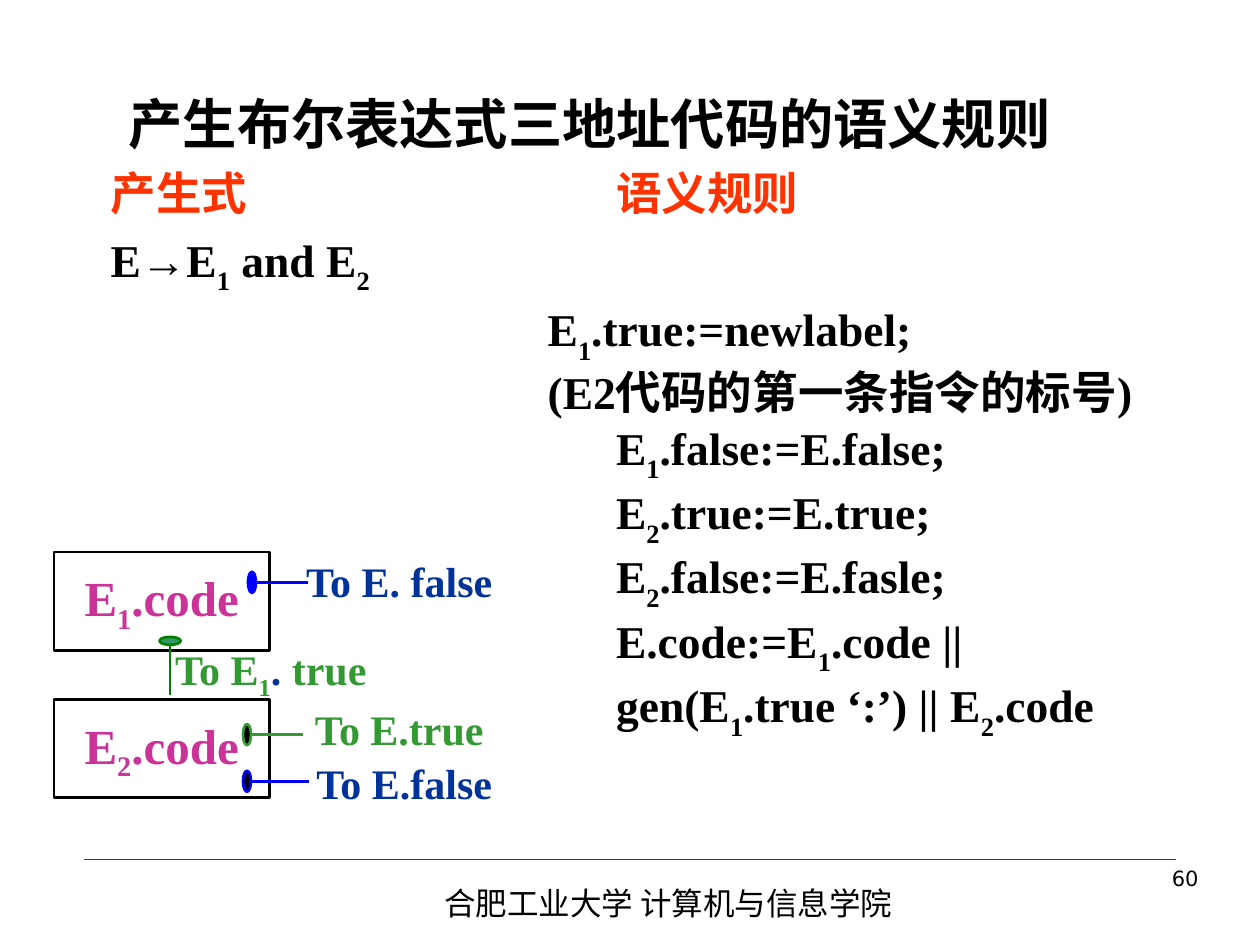
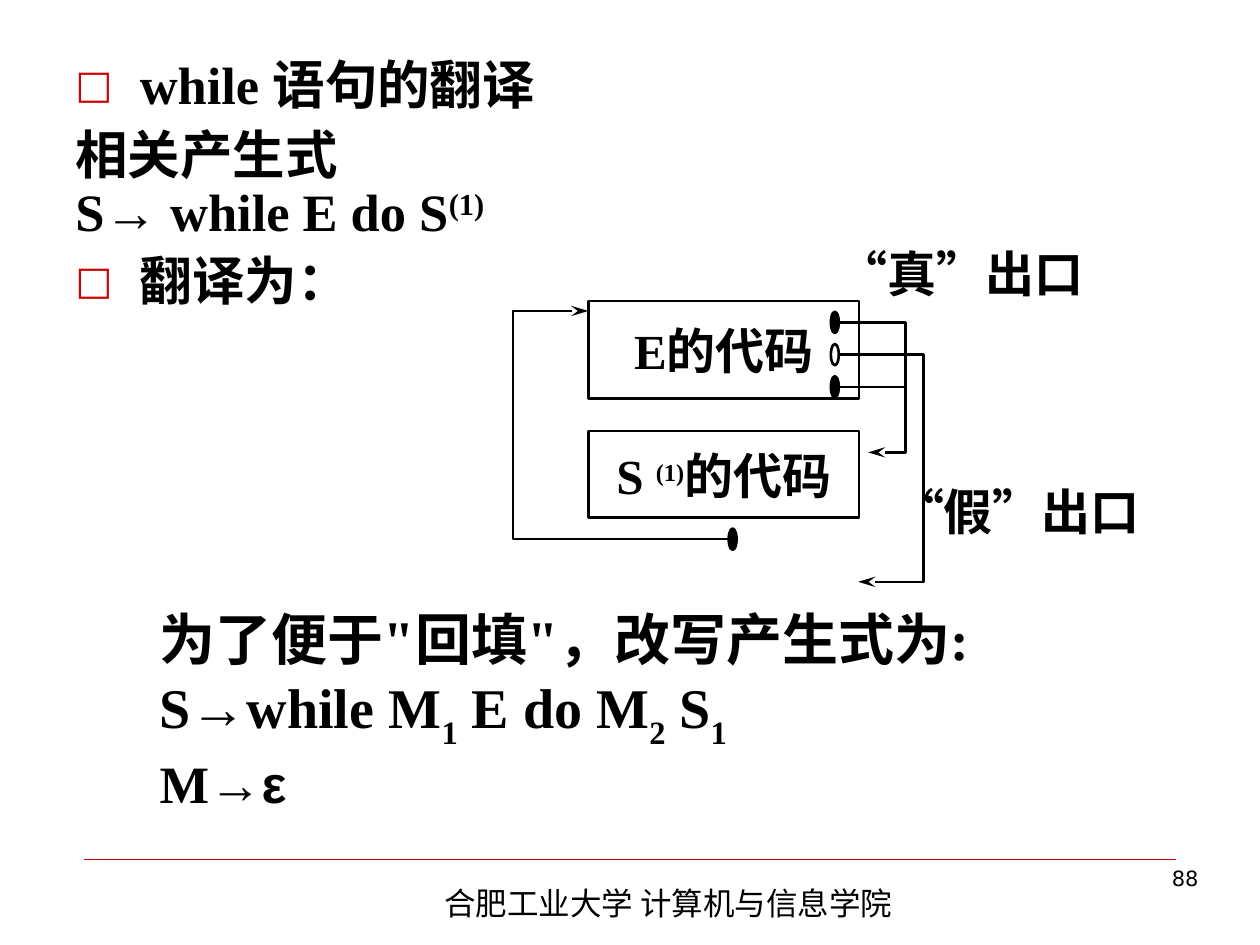
"""Build two compiler-course slides on translating boolean and while code."""
import pptx
import pptx.dml.color
import pptx.enum.shapes
import pptx.enum.text
import pptx.oxml.ns
import pptx.util
from lxml import etree

Cm, Pt = pptx.util.Cm, pptx.util.Pt
ALIGN = pptx.enum.text.PP_ALIGN
ANCHOR = pptx.enum.text.MSO_ANCHOR
SHAPE = pptx.enum.shapes.MSO_SHAPE
qn = pptx.oxml.ns.qn

COLORS = {"black": "000000", "rule": "CC0000", "heading": "FF3300", "code": "CC3399",
          "navy": "003399", "blue": "0000FF", "green": "339933", "dark_green": "008000",
          "sea": "339966"}
SERIF, SANS, CJK = "Times New Roman", "DejaVu Sans", "Noto Sans CJK SC"


def rgb(name):
    return pptx.dml.color.RGBColor.from_string(COLORS[name])


def write(p, text, size=28, color="black", font=SERIF, bold=True, shift=-30, shift_size=None):
    """Add text to a paragraph; parts between ~ marks are sub- or superscript."""
    for i, part in enumerate(text.split("~")):
        if not part:
            continue
        r = p.add_run()
        r.text = part
        f = r.font
        f.size = Pt(shift_size or size) if i % 2 else Pt(size)
        f.bold, f.name = bold, font
        f.color.rgb = rgb(color)
        rPr = f._element
        etree.SubElement(rPr, qn("a:ea")).set("typeface", CJK)
        if i % 2:
            rPr.set("baseline", str(shift * 1000))


class Deck:
    """Hold the shared style and the current slide."""

    def __init__(self):
        self.prs = pptx.Presentation()
        self.prs.slide_width, self.prs.slide_height = Cm(25.4), Cm(19.05)

    def start(self, number, title=None):
        self.slide = self.prs.slides.add_slide(self.prs.slide_layouts[5 if title else 6])
        self.shapes = self.slide.shapes
        if title:
            sp = self.shapes.title
            sp.left, sp.top, sp.width, sp.height = Cm(2.34), Cm(0.94), Cm(22.02), Cm(3.07)
            tf = sp.text_frame
            tf.vertical_anchor = ANCHOR.MIDDLE
            p = tf.paragraphs[0]
            p.alignment = ALIGN.LEFT
            write(p, title, size=31, font=SANS)
        self.line(1.7, 17.32, 23.7, 17.32, "rule", 0.25)
        write(self.box(8.71, 17.7, 12.8, 1.02).paragraphs[0],
              "合肥工业大学 计算机与信息学院", size=18, font=CJK, bold=False)
        p = self.box(18.9, 17.32, 5.51, 1.32).paragraphs[0]
        p.alignment = ALIGN.RIGHT
        write(p, str(number), size=12, font=SANS, bold=False)

    def box(self, x, y, w, h):
        tf = self.shapes.add_textbox(Cm(x), Cm(y), Cm(w), Cm(h)).text_frame
        tf.word_wrap = True
        return tf

    def paragraph(self, tf, indent=0.0, spacing=1.0, before=0.0, bullet=None):
        first = not tf.paragraphs[0].runs
        p = tf.paragraphs[0] if first else tf.add_paragraph()
        pPr = p._p.get_or_add_pPr()
        pPr.set("marL", str(Cm(indent)))
        pPr.set("indent", str(-Cm(indent) if bullet else 0))
        if bullet:
            clr = etree.SubElement(pPr, qn("a:buClr"))
            etree.SubElement(clr, qn("a:srgbClr")).set("val", COLORS["rule"])
            etree.SubElement(pPr, qn("a:buSzPct")).set("val", "75000")
            etree.SubElement(pPr, qn("a:buFont")).set("typeface", SANS)
            etree.SubElement(pPr, qn("a:buChar")).set("char", bullet)
        p.line_spacing = spacing
        p.space_before = Pt(0 if first else before)
        return p

    def centre(self, tf, wrap=False):
        tf.word_wrap = wrap
        tf.vertical_anchor = ANCHOR.MIDDLE
        p = tf.paragraphs[0]
        p.alignment = ALIGN.CENTER
        return p

    def label(self, cx, cy, text, w=5.6, h=1.54, **fmt):
        p = self.centre(self.box(cx - w / 2, cy - h / 2, w, h), wrap=True)
        write(p, text, **fmt)
        return p

    def outline(self, sp, color, fill=None):
        sp.shadow.inherit = False
        if fill:
            sp.fill.solid()
            sp.fill.fore_color.rgb = rgb(fill)
        else:
            sp.fill.background()
        sp.line.color.rgb = rgb(color)
        sp.line.width = Pt(1.5)

    def block(self, x, y, w, h, text, **fmt):
        sp = self.shapes.add_shape(SHAPE.RECTANGLE, Cm(x), Cm(y), Cm(w), Cm(h))
        self.outline(sp, "black")
        write(self.centre(sp.text_frame), text, **fmt)

    def dot(self, cx, cy, color="black", fill="black", w=0.16, h=0.43):
        sp = self.shapes.add_shape(SHAPE.OVAL, Cm(cx - w / 2), Cm(cy - h / 2), Cm(w), Cm(h))
        self.outline(sp, color, fill)

    def line(self, x1, y1, x2, y2, color="black", width=1.5):
        sp = self.shapes.add_connector(pptx.enum.shapes.MSO_CONNECTOR.STRAIGHT,
                                       Cm(x1), Cm(y1), Cm(x2), Cm(y2))
        sp.line.color.rgb = rgb(color)
        sp.line.width = Pt(width)
        etree.SubElement(sp._element.spPr, qn("a:effectLst"))

    def jump(self, *points):
        start, *rest = [(Cm(x), Cm(y)) for x, y in points]
        path = self.shapes.build_freeform(*start)
        path.add_line_segments(rest, close=False)
        sp = path.convert_to_shape()
        self.outline(sp, "black")
        tail = etree.SubElement(sp.line._get_or_add_ln(), qn("a:tailEnd"))
        tail.set("type", "stealth")
        tail.set("len", "lg")


def semantic_rules(deck):
    deck.start(60, "产生布尔表达式三地址代码的语义规则")
    left, top, column, note = 1.98, 3.33, 10.19, 8.81
    tight = {"spacing": 0.9, "before": 6.5}
    tf = deck.box(left, top, 23.4, 12.7)
    write(deck.paragraph(tf, **tight), "产生式", size=26, color="heading")
    write(deck.paragraph(deck.box(left + column, top, 6, 1.3), **tight), "语义规则",
          size=26, color="heading")
    for indent, text in ((0, "E→E~1~ and E~2~"), (note, "E~1~.true:=newlabel;"),
                         (note, "(E2代码的第一条指令的标号)")):
        write(deck.paragraph(tf, indent, **tight), text, size=26)
    for text in ("E~1~.false:=E.false;", "E~2~.true:=E.true;", "E~2~.false:=E.fasle;",
                 "E.code:=E~1~.code ||", "gen(E~1~.true ‘:’) || E~2~.code"):
        write(deck.paragraph(tf, column), text, size=26)

    for i, y in enumerate((11.13, 14.1), 1):
        deck.block(1.09, y, 4.34, 1.98, f"E~{i}~.code", color="code", shift=-25)
    for x, y, end, color, fill in ((5.08, 11.74, 6.2, "blue", "blue"),
                                   (4.98, 14.81, 6.1, "green", "black"),
                                   (4.98, 15.75, 6.22, "blue", "black")):
        deck.line(x + 0.08, y, end, y, color)
        deck.dot(x, y, color, fill)
    deck.line(3.43, 12.98, 3.43, 14.02, "dark_green")
    deck.dot(3.43, 12.92, "dark_green", "sea", w=0.43, h=0.16)

    deck.label(8.05, 11.7, "To E. false", size=24, color="navy")
    p = deck.label(5.46, 13.56, "To E~1~", size=24, color="green", shift=-25)
    write(p, ". ", size=24, color="navy")
    write(p, "true", size=24, color="green")
    deck.label(8.05, 14.7, "To E.true", size=24, color="green")
    deck.label(8.15, 15.77, "To E.false", size=24, color="navy")


def while_statement(deck):
    deck.start(88)
    tf = deck.box(1.27, 1.07, 20.75, 6.15)
    item = {"indent": 1.3, "bullet": "□"}
    for text, fmt in (("while 语句的翻译", item), ("相关产生式", {}),
                      ("S→ while E do S~(1)~", {"before": 0}), ("翻译为：", item)):
        write(deck.paragraph(tf, **{"spacing": 0.9, "before": 7.5, **fmt}), text,
              size=30, shift=30)

    deck.block(11.86, 6.07, 5.46, 1.96, "E的代码")
    deck.block(11.86, 8.69, 5.46, 1.75, "S ~(1)~的代码", shift=30, shift_size=24)

    port, true_x, false_x = 16.94, 18.26, 18.62
    deck.jump((port, 7.15), (false_x, 7.15), (false_x, 11.73), (17.3, 11.73))
    deck.jump((port, 6.5), (true_x, 6.5), (true_x, 9.12), (17.5, 9.12))
    deck.line(port, 7.8, true_x, 7.8)
    for y, fill in ((6.5, "black"), (7.15, None), (7.8, "black")):
        deck.dot(16.83, y, fill=fill)
    deck.dot(14.77, 10.87)
    deck.jump((14.68, 10.87), (10.34, 10.87), (10.34, 6.27), (11.86, 6.27))
    deck.label(19.37, 5.51, "“真”出口")
    deck.label(20.51, 10.31, "“假”出口")

    tf = deck.box(2.97, 12.07, 18.85, 5.72)
    for text in ("为了便于\"回填\"，改写产生式为:", "S→while M~1~ E do M~2~ S~1~"):
        write(deck.paragraph(tf), text, size=32)
    p = deck.paragraph(tf)
    write(p, "M→", size=30)
    write(p, "ε", size=30, font="Arial")


def main():
    deck = Deck()
    semantic_rules(deck)
    while_statement(deck)
    deck.prs.save("out.pptx")


if __name__ == "__main__":
    main()
